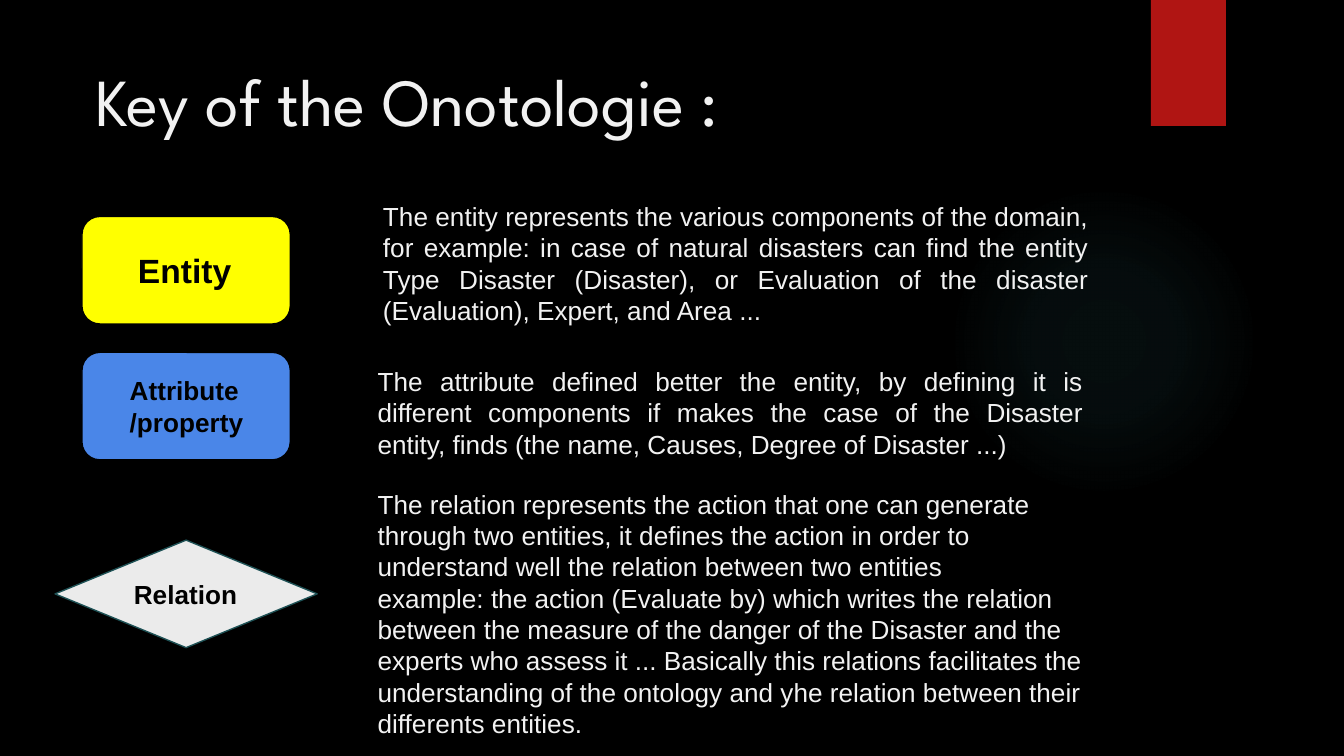
from lxml import etree
from pptx import Presentation
from pptx.dml.color import RGBColor
from pptx.enum.shapes import MSO_SHAPE
from pptx.enum.text import MSO_ANCHOR, PP_ALIGN
from pptx.oxml import parse_xml
from pptx.oxml.ns import nsdecls
from pptx.util import Pt

ROUNDED = MSO_SHAPE.ROUNDED_RECTANGLE
DIAMOND = MSO_SHAPE.FLOWCHART_DECISION
OVAL = MSO_SHAPE.OVAL
RECTANGLE = MSO_SHAPE.RECTANGLE
MIDDLE = MSO_ANCHOR.MIDDLE
TOP = MSO_ANCHOR.TOP
LEFT = PP_ALIGN.LEFT
JUSTIFY = PP_ALIGN.JUSTIFY

COLORS = {
    "background": "000000",
    "ink": "000000",
    "light": "F2F2F2",
    "glow": "50B9C1",
    "ribbon": "B01513",
    "entity": "FFFF00",
    "attribute": "4A86E8",
    "relation": "EBEBEB",
    "relation_line": "1E5155",
}
BODY_FONT = "Arial"
TITLE_FONT = "League Spartan"
INSET = 7.2
TEXT_INDENT = 29.5

SYMBOLS = [
    (ROUNDED, (43.9, 116, 111.6, 57.6), "entity", "ink", ["Entity"], 18, 27.2),
    (ROUNDED, (43.9, 188.8, 111.6, 57.6), "attribute", "ink",
     ["Attribute", "/property"], 14, 22.8),
    (DIAMOND, (29.5, 289.4, 140.4, 57.6), "relation", "relation_line",
     ["Relation"], 14, INSET),
]
DESCRIPTIONS = [
    ((175.7, 100.1, 414.7, 88.6), JUSTIFY, [
        "The entity represents the various components of the domain, for example: "
        "in case of natural disasters can find the entity Type Disaster (Disaster), "
        "or Evaluation of the disaster (Evaluation), Expert, and Area ..."]),
    ((172.8, 188.6, 414.7, 88.6), JUSTIFY, [
        "The attribute defined better the entity, by defining it is different "
        "components if makes the case of the Disaster entity, finds (the name, "
        "Causes, Degree of Disaster ...)"]),
    ((172.8, 254.2, 420.5, 150), LEFT, [
        "The relation represents the action that one can generate through two "
        "entities, it defines the action in order to understand well the relation "
        "between two entities",
        "example: the action (Evaluate by) which writes the relation between the "
        "measure of the danger of the Disaster and the experts who assess it ... "
        "Basically this relations facilitates the understanding of the ontology and "
        "yhe relation between their differents entities."]),
]


def rgb(name):
    return RGBColor.from_string(COLORS[name])


def points(box):
    return [Pt(value) for value in box]


def write_text(shape, lines, font, size, color, bold=False, align=LEFT,
               anchor=TOP, left_inset=INSET):
    frame = shape.text_frame
    frame.word_wrap = True
    frame.vertical_anchor = anchor
    frame.margin_left = Pt(left_inset)
    frame.margin_top = frame.margin_right = frame.margin_bottom = Pt(INSET)
    frame.text = "\n".join(lines)
    for para in frame.paragraphs:
        para.alignment = align
        for span in para.runs:
            span.font.name = font
            span.font.size = Pt(size)
            span.font.bold = bold
            span.font.color.rgb = rgb(color)


def add_plain_shape(page, kind, box, fill, line=None):
    shape = page.shapes.add_shape(kind, *points(box))
    shape.shadow.inherit = False
    shape.fill.solid()
    shape.fill.fore_color.rgb = rgb(fill)
    if line:
        shape.line.color.rgb = rgb(line)
        shape.line.width = Pt(0.75)
    else:
        shape.line.fill.background()
    return shape


def add_glow(page, box):
    glow = add_plain_shape(page, OVAL, box, "glow")
    gradient = parse_xml(f'<a:gradFill {nsdecls("a")}><a:gsLst/></a:gradFill>')
    for position, alpha in [(0, 7), (36, 6), (69, 0)]:
        stop = etree.SubElement(gradient[0], gradient[0].tag.replace("gsLst", "gs"),
                                pos=str(position * 1000))
        stop.append(parse_xml(
            f'<a:srgbClr {nsdecls("a")} val="{COLORS["glow"]}">'
            f'<a:alpha val="{alpha * 1000}"/></a:srgbClr>'))
    gradient.append(parse_xml(
        f'<a:path {nsdecls("a")} path="circle">'
        '<a:fillToRect l="50000" t="50000" r="50000" b="50000"/></a:path>'))
    properties = glow.element.spPr
    solid = properties.find("{*}solidFill")
    properties.replace(solid, gradient)


def add_title(page, box, title):
    text_box = page.shapes.add_textbox(*points(box))
    write_text(text_box, [title], TITLE_FONT, 36, "light")


def add_symbol(page, kind, box, fill, line, lines, size, left_inset):
    symbol = add_plain_shape(page, kind, box, fill, line)
    write_text(symbol, lines, BODY_FONT, size, "ink", bold=True,
               anchor=MIDDLE, left_inset=left_inset)


def add_description(page, box, align, lines):
    text_box = page.shapes.add_textbox(*points(box))
    write_text(text_box, lines, BODY_FONT, 14, "light", align=align,
               left_inset=TEXT_INDENT)


def main():
    deck = Presentation()
    deck.slide_width, deck.slide_height = Pt(720), Pt(405)
    page = deck.slides.add_slide(deck.slide_layouts[6])
    page.background.fill.solid()
    page.background.fill.fore_color.rgb = rgb("background")
    add_glow(page, (508.3, 99.4, 166.3, 166.3))
    add_plain_shape(page, RECTANGLE, (616.5, 0, 40.3, 67.5), "ribbon")
    add_title(page, (43.9, 24.5, 471.6, 76.3), "Key of the Onotologie :")
    for symbol in SYMBOLS:
        add_symbol(page, *symbol)
    for description in DESCRIPTIONS:
        add_description(page, *description)
    deck.save("out.pptx")


if __name__ == "__main__":
    main()
